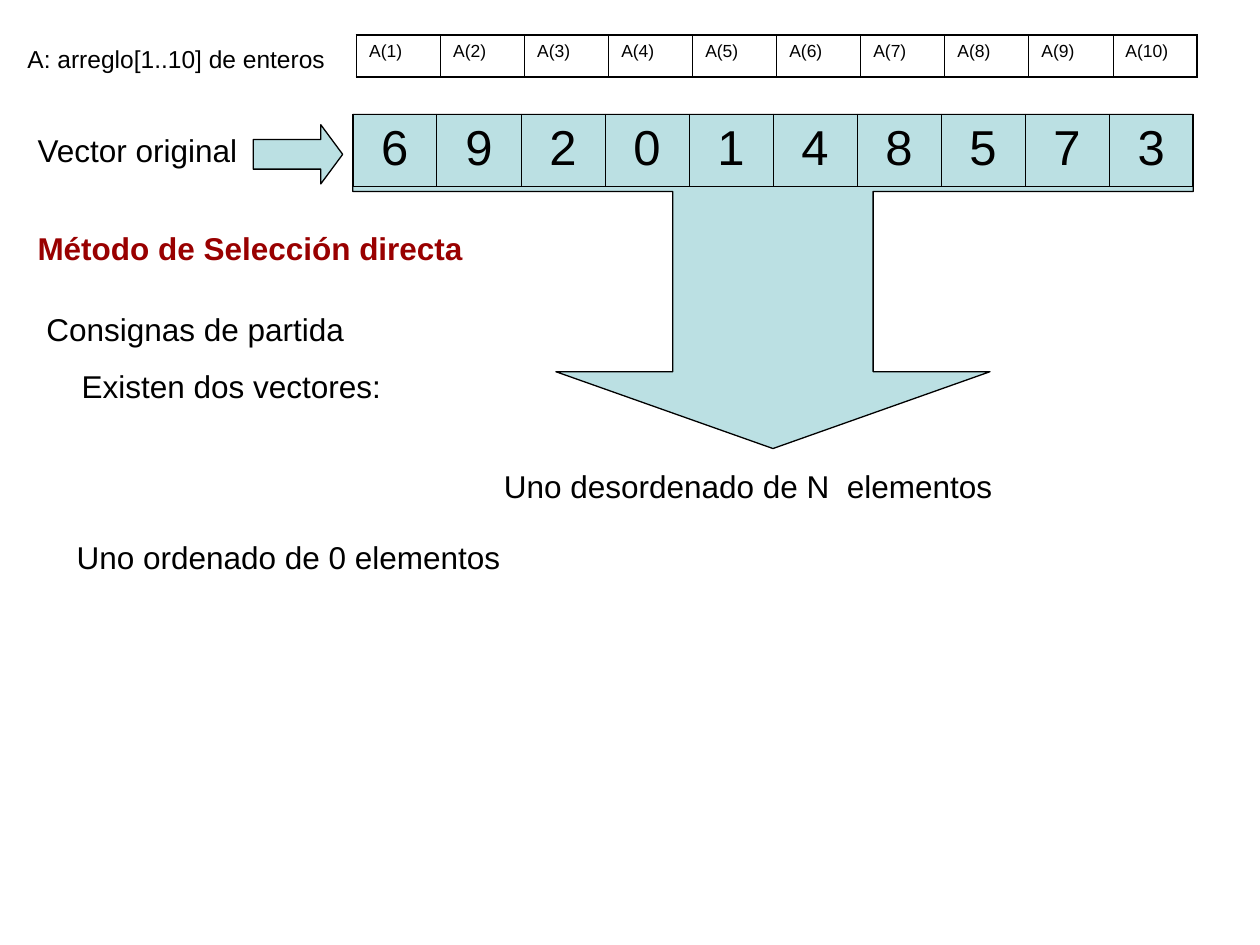
"""Slide on the starting state of direct selection sort."""
from lxml import etree
from pptx import Presentation
from pptx.dml.color import RGBColor
from pptx.enum.shapes import MSO_SHAPE
from pptx.enum.text import MSO_AUTO_SIZE, PP_ALIGN
from pptx.oxml.ns import qn
from pptx.util import Inches, Pt

LEFT, CENTER = PP_ALIGN.LEFT, PP_ALIGN.CENTER
GROW = MSO_AUTO_SIZE.SHAPE_TO_FIT_TEXT
CALLOUT, ARROW = MSO_SHAPE.DOWN_ARROW_CALLOUT, MSO_SHAPE.RIGHT_ARROW
HEX = {"ink": "000000", "pale": "BBE0E3", "red": "990000"}
FONT = "Arial"
THICK, THIN = 1.08, 0.45
COL = 6.67 / 10
GAP, INDENT = 11.2, 0.28

VALUES = [6, 9, 2, 0, 1, 4, 8, 5, 7, 3]
NAMES = [f"A({i})" for i in range(1, len(VALUES) + 1)]
TABLES = [
    (VALUES, 2.8, 0.91, 0.57, 28, CENTER, "pale"),
    (NAMES, 2.83, 0.28, 0.33, 10, LEFT, None),
]
SHAPES = [
    (CALLOUT, (2.8, 0.91, 6.67, 2.65), (0.6, 0.65, 0.23, 0.23)),
    (ARROW, (2.01, 0.99, 0.71, 0.47), (0.5, 0.37)),
]
BODY = {"size": 18, "tone": "ink", "bold": False}
NOTES = [
    (["Vector original"], (0.2, 0.99, 1.81, 0.4), {}),
    (["A: arreglo[1..10] de enteros"], (0.12, 0.3, 2.6, 0.34), {"size": 14}),
    (["Método de Selección directa"], (0.2, 1.77, 4.17, 0.4),
     {"tone": "red", "bold": True}),
    (["Consignas de partida", "Existen dos vectores:"],
     (0.27, 2.41, 4.41, 0.86), {}),
    (["Uno desordenado de N  elementos"], (3.9, 3.66, 5.59, 0.4), {}),
    (["Uno ordenado de 0 elementos"], (0.51, 4.22, 5.04, 0.4), {}),
]


def color(tone):
    return RGBColor.from_string(HEX[tone])


def write(para, text, size, tone="ink", bold=False):
    run = para.add_run()
    run.text = str(text)
    for key, val in {"name": FONT, "size": Pt(size), "bold": bold}.items():
        setattr(run.font, key, val)
    run.font.color.rgb = color(tone)


def add_shape(slide, kind, box, adjust):
    shape = slide.shapes.add_shape(kind, *map(Inches, box))
    shape.shadow.inherit = False
    for i, val in enumerate(adjust):
        shape.adjustments[i] = val
    shape.fill.solid()
    shape.fill.fore_color.rgb = color("pale")
    shape.line.color.rgb = color("ink")
    shape.line.width = Pt(0.75)


def add_note(slide, lines, box, look):
    frame = slide.shapes.add_textbox(*map(Inches, box)).text_frame
    frame.word_wrap = True
    frame.auto_size = GROW
    for i, line in enumerate(lines):
        para = frame.add_paragraph() if i else frame.paragraphs[0]
        if i:
            para.space_before = Pt(GAP)
            para._p.get_or_add_pPr().set("marL", str(Inches(INDENT)))
        write(para, line, **{**BODY, **look})


def add_edges(cell, widths):
    props = cell._tc.get_or_add_tcPr()
    for side, width in widths.items():
        edge = etree.SubElement(props, qn(f"a:ln{side}"), w=str(Pt(width)))
        fill = etree.SubElement(edge, qn("a:solidFill"))
        etree.SubElement(fill, qn("a:srgbClr"), val=HEX["ink"])


def add_row(slide, items, left, top, high, size, align, tone):
    last = len(items) - 1
    box = (left, top, COL * len(items), high)
    table = slide.shapes.add_table(1, len(items), *map(Inches, box)).table
    table.first_row = table.horz_banding = False
    for i, item in enumerate(items):
        table.columns[i].width = Inches(COL)
        cell = table.cell(0, i)
        add_edges(cell, {"L": THIN if i else THICK,
                         "R": THIN if i < last else THICK,
                         "T": THICK, "B": THICK})
        if tone:
            cell.fill.solid()
            cell.fill.fore_color.rgb = color(tone)
        else:
            cell.fill.background()
        para = cell.text_frame.paragraphs[0]
        para.alignment = align
        write(para, item, size)


def main():
    deck = Presentation()
    deck.slide_width, deck.slide_height = Inches(10), Inches(7.5)
    slide = deck.slides.add_slide(deck.slide_layouts[6])
    for spot in SHAPES:
        add_shape(slide, *spot)
    for row in TABLES:
        add_row(slide, *row)
    for note in NOTES:
        add_note(slide, *note)
    deck.save("out.pptx")


if __name__ == "__main__":
    main()
